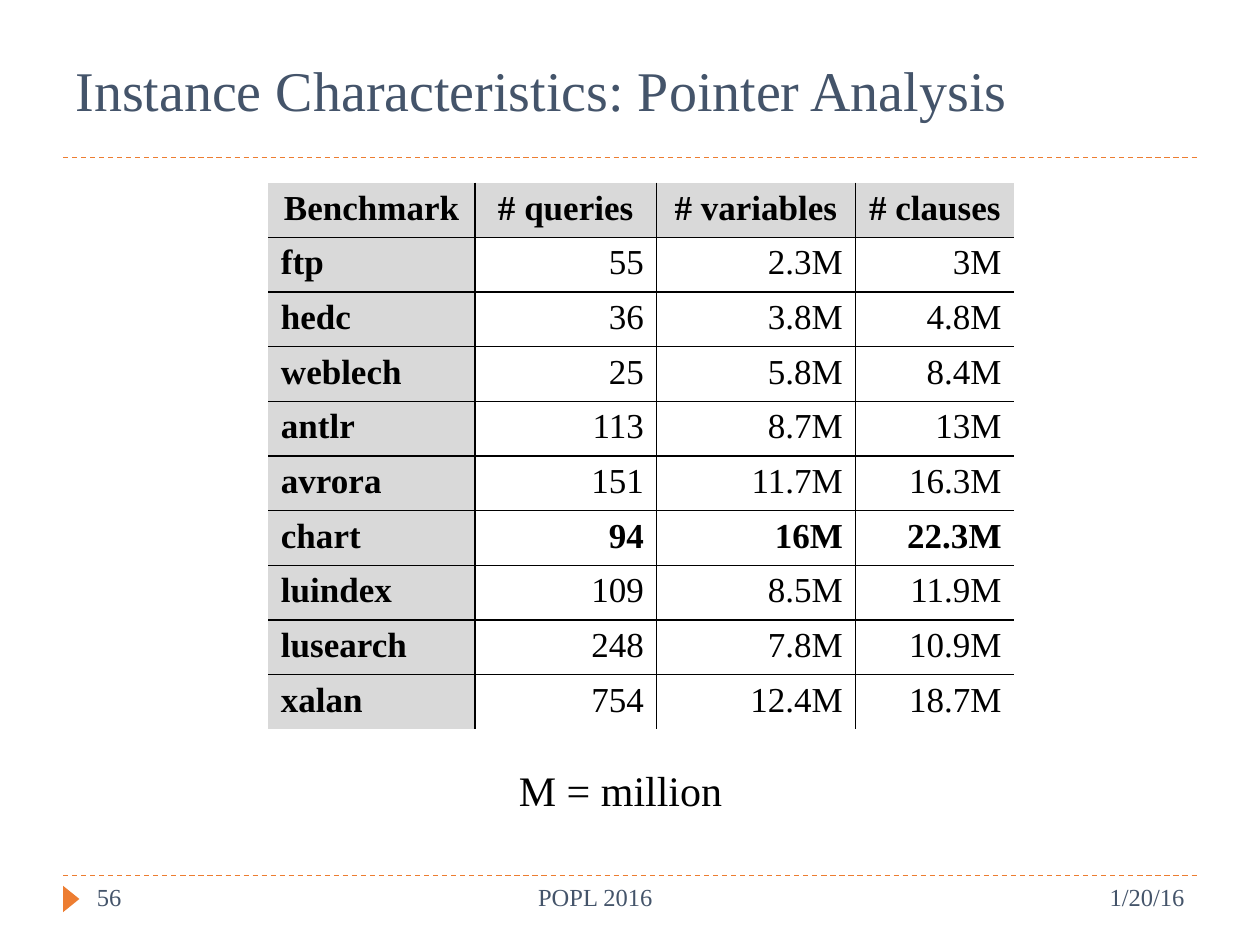
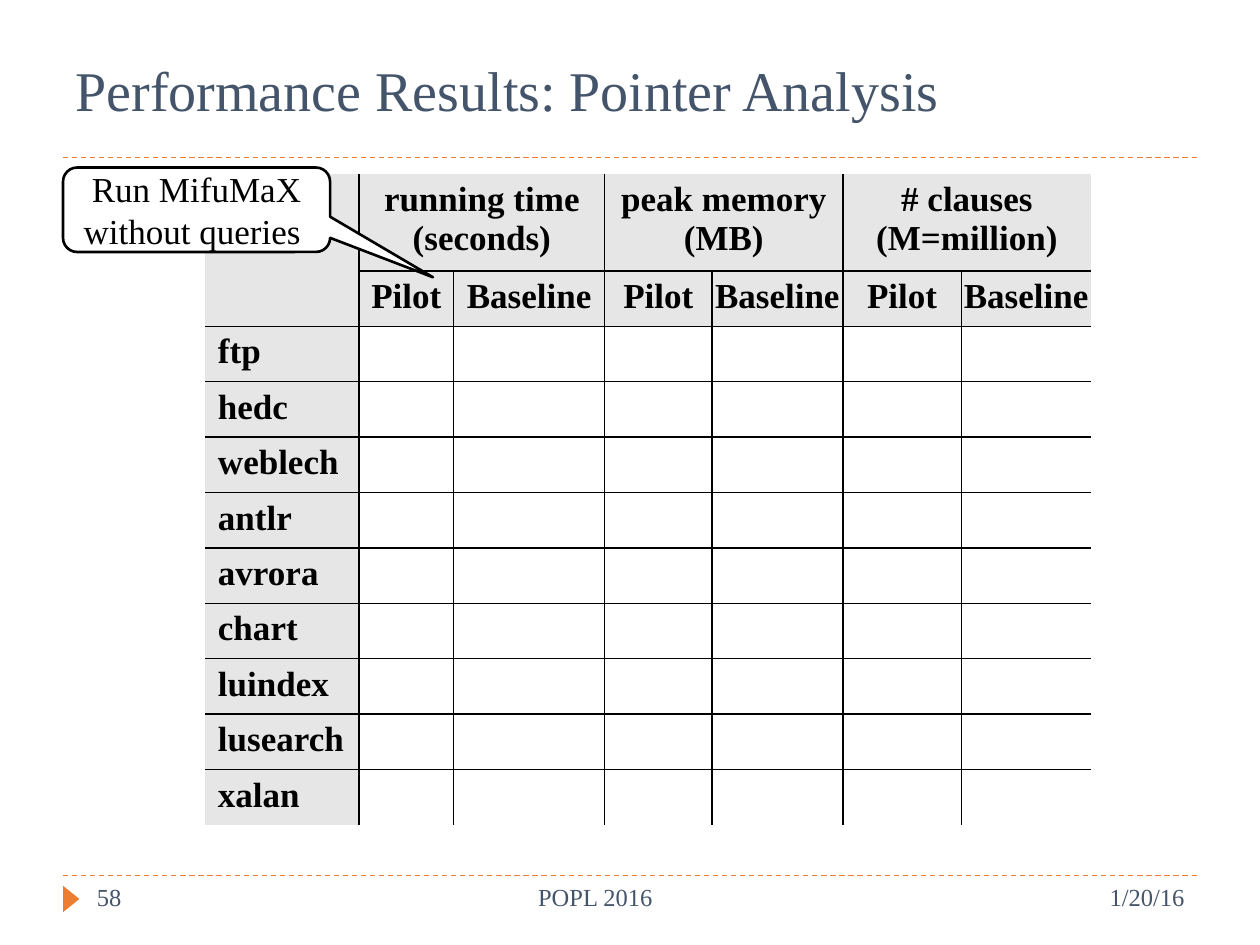
from dataclasses import dataclass

from lxml.etree import SubElement
from pptx import Presentation
from pptx.dml.color import RGBColor
from pptx.enum.dml import MSO_LINE_DASH_STYLE as Dash
from pptx.enum.shapes import MSO_CONNECTOR as Connector, MSO_SHAPE as Shape
from pptx.enum.text import MSO_ANCHOR as Anchor, PP_ALIGN as Align
from pptx.oxml.ns import qn
from pptx.slide import Slide
from pptx.table import Table, _Cell as Cell
from pptx.text.text import TextFrame
from pptx.util import Inches, Pt

COLORS = {
    "black": "000000",
    "white": "FFFFFF",
    "slate": "44546A",
    "orange": "ED7D31",
    "gray": "D9D9D9",
    "pale_gray": "E7E6E6",
}
FONT = "Times New Roman"
RULE_TOPS = (1.25, 6.95)
CONFERENCE = "POPL 2016"
DATE = "1/20/16"


@dataclass(frozen=True)
class Label:
    text: str
    left: float
    top: float
    width: float
    height: float
    size: int
    color: str = "slate"
    align: Align = Align.LEFT
    anchor: Anchor = Anchor.TOP


@dataclass(frozen=True)
class Grid:
    left: float
    top: float
    columns: tuple[float, ...]
    heights: tuple[float, ...]
    rows: list[tuple[str, ...]]
    shade: str
    header_rows: int = 1
    bold_row: str = ""
    merges: tuple[tuple[int, int, int, int], ...] = ()


# Content
INSTANCE_ROWS = [
    ("Benchmark", "# queries", "# variables", "# clauses"),
    ("ftp", "55", "2.3M", "3M"),
    ("hedc", "36", "3.8M", "4.8M"),
    ("weblech", "25", "5.8M", "8.4M"),
    ("antlr", "113", "8.7M", "13M"),
    ("avrora", "151", "11.7M", "16.3M"),
    ("chart", "94", "16M", "22.3M"),
    ("luindex", "109", "8.5M", "11.9M"),
    ("lusearch", "248", "7.8M", "10.9M"),
    ("xalan", "754", "12.4M", "18.7M"),
]
MEASURES = ("running time\n(seconds)", "peak memory\n(MB)", "# clauses\n(M=million)")
BENCHMARKS = [row[0] for row in INSTANCE_ROWS[1:]]
RESULT_ROWS = [
    ("", *(text for measure in MEASURES for text in (measure, ""))),
    ("", *("Pilot", "Baseline") * len(MEASURES)),
    *((name, *("",) * 6) for name in BENCHMARKS),
]

INSTANCES = Grid(2.13, 1.45, (1.64, 1.44, 1.58, 1.26), (0.41,) * 10,
                 INSTANCE_ROWS, "gray", bold_row="chart")
RESULTS = Grid(1.63, 1.38, (1.22, 0.75, 1.2, 0.85, 1.04, 0.94, 1.03),
               (0.77,) + (0.44,) * 10, RESULT_ROWS, "pale_gray", header_rows=2,
               merges=((0, 0, 1, 0), *((0, col, 0, col + 1) for col in (1, 3, 5))))


def rgb(name: str) -> RGBColor:
    return RGBColor.from_string(COLORS[name])


def style_text(frame: TextFrame, size: int, color: str, align: Align,
               bold: bool = False) -> None:
    for paragraph in frame.paragraphs:
        paragraph.alignment = align
        for run in paragraph.runs:
            run.font.name = FONT
            run.font.size = Pt(size)
            run.font.bold = bold
            run.font.color.rgb = rgb(color)


def add_label(slide: Slide, label: Label) -> None:
    box = slide.shapes.add_textbox(Inches(label.left), Inches(label.top),
                                   Inches(label.width), Inches(label.height))
    frame = box.text_frame
    frame.word_wrap = True
    frame.vertical_anchor = label.anchor
    frame.text = label.text
    style_text(frame, label.size, label.color, label.align)


def add_rule(slide: Slide, top: float) -> None:
    rule = slide.shapes.add_connector(Connector.STRAIGHT, Inches(0.5), Inches(top),
                                      Inches(9.5), Inches(top))
    rule.line.color.rgb = rgb("orange")
    rule.line.width = Pt(0.75)
    rule.line.dash_style = Dash.DASH
    SubElement(rule._element.spPr, qn("a:effectLst"))


def add_base_slide(deck: Presentation, title: str, number: int) -> Slide:
    """Add a slide with the shared title, rules and footer."""
    slide = deck.slides.add_slide(deck.slide_layouts[6])
    for top in RULE_TOPS:
        add_rule(slide, top)

    marker = slide.shapes.add_shape(Shape.ISOSCELES_TRIANGLE, Inches(0.46),
                                    Inches(7.07), Inches(0.21), Inches(0.13))
    marker.rotation = 90
    marker.shadow.inherit = False
    marker.fill.solid()
    marker.fill.fore_color.rgb = rgb("orange")
    marker.line.fill.background()

    for label in (
        Label(DATE, 7, 6.95, 2.5, 0.4, 14, align=Align.RIGHT),
        Label(str(number), 0.67, 6.95, 0.89, 0.4, 14),
        Label(title, 0.5, 0.17, 9, 1.08, 32, anchor=Anchor.MIDDLE),
        Label(CONFERENCE, 1.56, 6.95, 6.33, 0.4, 14, align=Align.CENTER),
    ):
        add_label(slide, label)
    return slide


def set_borders(cell: Cell, inner_sides: dict[str, bool]) -> None:
    """Rule the inner sides of a cell in black and leave the outer ones open."""
    properties = cell._tc.get_or_add_tcPr()
    for side, inner in inner_sides.items():
        border = SubElement(properties, qn(f"a:ln{side}"), w=str(Pt(1)))
        if inner:
            fill = SubElement(border, qn("a:solidFill"))
            SubElement(fill, qn("a:srgbClr"), val=COLORS["black"])
        else:
            SubElement(border, qn("a:noFill"))


def fill_cell(table: Table, grid: Grid, row: int, col: int) -> None:
    cell = table.cell(row, col)
    header = row < grid.header_rows
    if not cell.is_spanned:
        set_borders(cell, {
            "L": col > 0,
            "R": col + cell.span_width < len(grid.columns),
            "T": row > 0,
            "B": row + cell.span_height < len(grid.rows),
        })
    cell.fill.solid()
    cell.fill.fore_color.rgb = rgb(grid.shade if header or col == 0 else "white")
    if header and col > 0:
        cell.margin_left = cell.margin_right = Inches(0)

    if text := grid.rows[row][col]:
        cell.text_frame.text = text
        align = Align.CENTER if header else Align.RIGHT if col else Align.LEFT
        bold = header or col == 0 or grid.rows[row][0] == grid.bold_row
        style_text(cell.text_frame, 20, "black", align, bold)


def add_grid(slide: Slide, grid: Grid) -> None:
    frame = slide.shapes.add_table(
        len(grid.rows), len(grid.columns), Inches(grid.left), Inches(grid.top),
        Inches(sum(grid.columns)), Inches(sum(grid.heights)))
    table = frame.table
    table.first_row = table.horz_banding = False
    for column, width in zip(table.columns, grid.columns):
        column.width = Inches(width)
    for row, height in zip(table.rows, grid.heights):
        row.height = Inches(height)
    for top, left, bottom, right in grid.merges:
        table.cell(top, left).merge(table.cell(bottom, right))
    for row in range(len(grid.rows)):
        for col in range(len(grid.columns)):
            fill_cell(table, grid, row, col)


def add_callout(slide: Slide, text: str) -> None:
    callout = slide.shapes.add_shape(Shape.ROUNDED_RECTANGULAR_CALLOUT, Inches(0.5),
                                     Inches(1.33), Inches(2.12), Inches(0.67))
    for index, value in enumerate((0.885, 0.8, 0.167)):
        callout.adjustments[index] = value
    callout.shadow.inherit = False
    callout.fill.solid()
    callout.fill.fore_color.rgb = rgb("white")
    callout.line.color.rgb = rgb("black")
    callout.line.width = Pt(1.5)
    frame = callout.text_frame
    frame.word_wrap = True
    frame.vertical_anchor = Anchor.MIDDLE
    frame.text = text
    style_text(frame, 20, "black", Align.CENTER)


def main() -> None:
    deck = Presentation()
    deck.slide_width, deck.slide_height = Inches(10), Inches(7.5)

    # Instance characteristics
    instances = add_base_slide(deck, "Instance Characteristics: Pointer Analysis", 56)
    add_grid(instances, INSTANCES)
    add_label(instances, Label("M = million", 3.3, 6.02, 3.25, 0.5, 24, "black",
                               Align.CENTER))

    # Performance results
    results = add_base_slide(deck, "Performance Results: Pointer Analysis", 58)
    add_grid(results, RESULTS)
    add_callout(results, "Run MifuMaX without queries ")

    deck.save("out.pptx")


if __name__ == "__main__":
    main()
